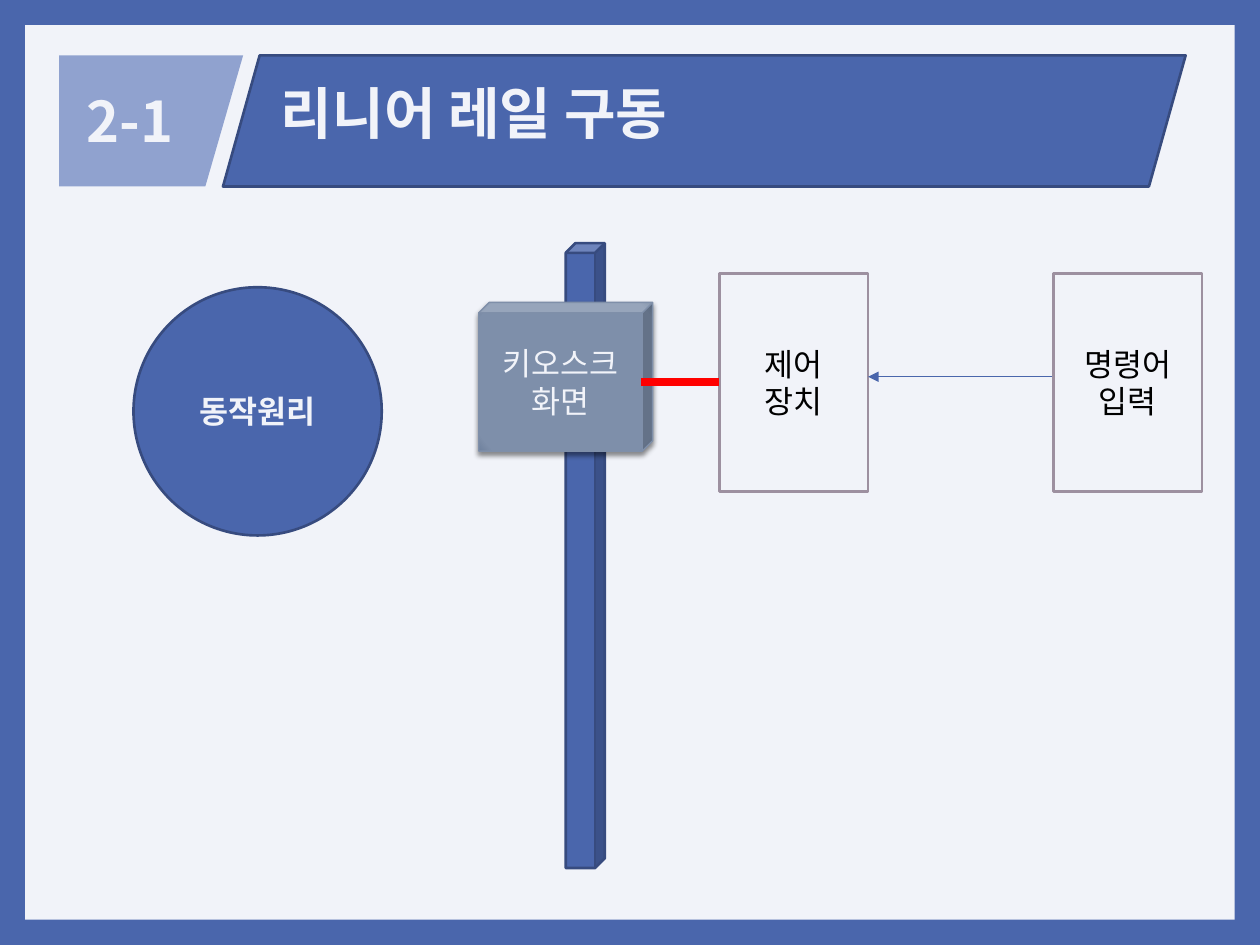
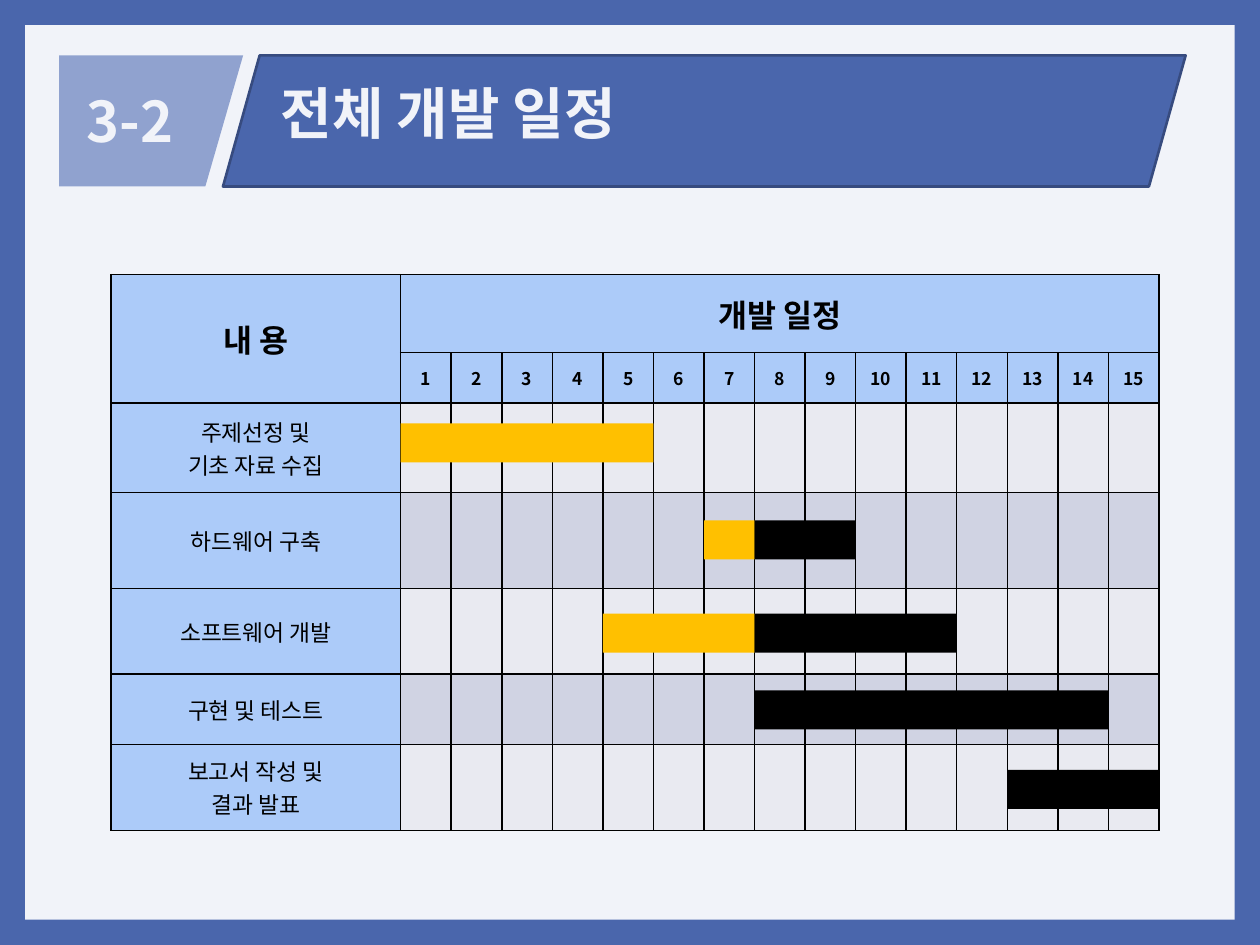
from dataclasses import dataclass
from typing import Optional

from lxml.etree import SubElement
from pptx import Presentation
from pptx.dml.color import RGBColor
from pptx.enum.shapes import MSO_CONNECTOR, MSO_SHAPE
from pptx.enum.text import MSO_ANCHOR, MSO_AUTO_SIZE, PP_ALIGN
from pptx.oxml import parse_xml
from pptx.oxml.ns import nsdecls, qn
from pptx.util import Inches, Pt

BLUE = RGBColor(0x4A, 0x66, 0xAC)
DARK_BLUE = RGBColor(0x37, 0x4B, 0x7F)
LIGHT_BLUE = RGBColor(0x90, 0xA2, 0xCF)
PAPER = RGBColor(0xF1, 0xF3, 0xF9)
MAUVE = RGBColor(0x9D, 0x90, 0xA0)
SLATE = RGBColor(0x7F, 0x8F, 0xA9)
RED = RGBColor(0xFF, 0x00, 0x00)
BLACK = RGBColor(0x00, 0x00, 0x00)
AMBER = RGBColor(0xFF, 0xC0, 0x00)
HEADER_BLUE = RGBColor(0xAC, 0xCB, 0xF9)
ROW_FILLS = (RGBColor(0xE9, 0xEA, 0xF1), RGBColor(0xD0, 0xD3, 0xE3))

HEADING_FONT = "Noto Sans CJK KR"
LABEL_FONT = "Cabin"


@dataclass(frozen=True)
class TextStyle:
    size: float
    color: RGBColor
    font: str = HEADING_FONT
    bold: bool = False
    align: PP_ALIGN = PP_ALIGN.CENTER


HEADING = TextStyle(32, PAPER, bold=True, align=PP_ALIGN.LEFT)
CIRCLE_LABEL = TextStyle(18, PAPER, bold=True)
KIOSK_LABEL = TextStyle(18, PAPER, LABEL_FONT)
BOX_LABEL = TextStyle(18, BLACK, LABEL_FONT)
TABLE_HEAD = TextStyle(18, BLACK, bold=True)
WEEK_HEAD = TextStyle(10, BLACK, bold=True)
TASK_LABEL = TextStyle(13, BLACK)


@dataclass(frozen=True)
class Block:
    kind: MSO_SHAPE
    left: float
    top: float
    width: float
    height: float
    fill: RGBColor
    line: Optional[RGBColor] = None
    line_width: float = 1.5
    adjust: Optional[float] = None
    text: str = ""
    style: Optional[TextStyle] = None


@dataclass(frozen=True)
class Bar:
    """A span of weeks, both ends included."""
    top: float
    first: int
    last: int
    color: RGBColor


PANEL = Block(MSO_SHAPE.RECTANGLE, 0.2, 0.2, 9.6, 7.1, PAPER)
BAND = Block(MSO_SHAPE.PARALLELOGRAM, 1.77, 0.44, 7.64, 1.04, BLUE, DARK_BLUE, adjust=0.28)
TAG_OUTLINE = ((0.47, 0.44), (1.93, 0.44), (1.63, 1.48), (0.47, 1.48))

PRINCIPLE = Block(MSO_SHAPE.OVAL, 1.06, 2.28, 1.97, 1.97, BLUE, DARK_BLUE,
                  text="동작원리", style=CIRCLE_LABEL)
CONTROLLER = Block(MSO_SHAPE.RECTANGLE, 5.71, 2.17, 1.18, 1.73, PAPER, MAUVE,
                   text="제어\n장치", style=BOX_LABEL)
RAIL = Block(MSO_SHAPE.CUBE, 4.49, 1.93, 0.31, 4.96, BLUE, DARK_BLUE)
KIOSK = Block(MSO_SHAPE.CUBE, 3.8, 2.4, 1.38, 1.18, SLATE, SLATE, 0.79, 0.07,
              "키오스크\n화면", KIOSK_LABEL)
COMMAND = Block(MSO_SHAPE.RECTANGLE, 8.36, 2.17, 1.18, 1.73, PAPER, MAUVE,
                text="명령어\n입력", style=BOX_LABEL)

TABLE_LEFT, TABLE_TOP = 0.88, 2.18
TASK_WIDTH, WEEKS_WIDTH, WEEKS = 2.3, 6.02, 15
WEEK_WIDTH = WEEKS_WIDTH / WEEKS
ROW_HEIGHTS = (0.62, 0.4, 0.71, 0.76, 0.68, 0.56, 0.68)
TASKS = ("주제선정 및\n기초 자료 수집", "하드웨어 구축", "소프트웨어 개발",
         "구현 및 테스트", "보고서 작성 및\n결과 발표")
BAR_HEIGHT = 0.31
BARS = (
    Bar(3.36, 1, 5, AMBER),
    Bar(4.13, 7, 7, AMBER),
    Bar(4.13, 8, 9, BLACK),
    Bar(4.87, 5, 7, AMBER),
    Bar(4.87, 8, 11, BLACK),
    Bar(5.48, 8, 14, BLACK),
    Bar(6.11, 13, 15, BLACK),
)


def write(frame, text: str, style: TextStyle) -> None:
    frame.text = text
    for paragraph in frame.paragraphs:
        paragraph.alignment = style.align
        for run in paragraph.runs:
            font = run.font
            font.size, font.bold, font.name = Pt(style.size), style.bold, style.font
            font.color.rgb = style.color
            # Korean glyphs follow the East Asian typeface
            SubElement(font._element, qn("a:ea"), typeface=style.font)


def add_block(slide, block: Block):
    shape = slide.shapes.add_shape(block.kind, Inches(block.left), Inches(block.top),
                                   Inches(block.width), Inches(block.height))
    shape.shadow.inherit = False
    shape.fill.solid()
    shape.fill.fore_color.rgb = block.fill
    if block.line is None:
        shape.line.fill.background()
    else:
        shape.line.color.rgb = block.line
        shape.line.width = Pt(block.line_width)
    if block.adjust is not None:
        shape.adjustments[0] = block.adjust
    if block.style:
        shape.text_frame.word_wrap = True
        shape.text_frame.vertical_anchor = MSO_ANCHOR.MIDDLE
        write(shape.text_frame, block.text, block.style)
    return shape


def add_line(slide, start: tuple, end: tuple, color: RGBColor, width: float):
    line = slide.shapes.add_connector(MSO_CONNECTOR.STRAIGHT, *map(Inches, start + end))
    line.line.color.rgb = color
    line.line.width = Pt(width)
    SubElement(line.element.spPr, qn("a:effectLst"))
    return line


def place_heading(shape, left: float, top: float, width: float, text: str) -> None:
    shape.left, shape.top = Inches(left), Inches(top)
    shape.width, shape.height = Inches(width), Inches(0.64)
    frame = shape.text_frame
    frame.word_wrap = True
    frame.vertical_anchor = MSO_ANCHOR.TOP
    frame.auto_size = MSO_AUTO_SIZE.SHAPE_TO_FIT_TEXT
    write(frame, text, HEADING)


def add_section_slide(prs, number: str, title: str):
    slide = prs.slides.add_slide(prs.slide_layouts[5])
    band = add_block(slide, BAND)
    band.element.addnext(slide.shapes.title.element)  # title sits on the band
    place_heading(slide.shapes.title, 2.13, 0.57, 6.97, title)

    corners = [(Inches(x), Inches(y)) for x, y in TAG_OUTLINE]
    builder = slide.shapes.build_freeform(*corners[0])
    builder.add_line_segments(corners[1:], close=True)
    tag = builder.convert_to_shape()
    tag.shadow.inherit = False
    tag.fill.solid()
    tag.fill.fore_color.rgb = LIGHT_BLUE
    tag.line.fill.background()
    place_heading(slide.shapes.add_textbox(0, 0, 0, 0), 0.59, 0.64, 1.42, number)
    return slide


def style_master(prs, slide) -> None:
    """Give every slide the blue border and the pale panel."""
    master = prs.slide_master
    master.background.fill.solid()
    master.background.fill.fore_color.rgb = BLUE
    master.shapes.element.insert(2, add_block(slide, PANEL).element)


def shade_kiosk(kiosk) -> None:
    """Radial gradient and a soft shadow below."""
    properties = kiosk.element.spPr
    stops = "".join(f'<a:gs pos="{pos}000"><a:srgbClr val="{color}"/></a:gs>'
                    for pos, color in ((0, "7F8FA9"), (90, "7E8FAA"), (100, "6F819D")))
    gradient = parse_xml(
        f'<a:gradFill {nsdecls("a")}><a:gsLst>{stops}</a:gsLst><a:path path="circle">'
        '<a:fillToRect l="100000" t="100000" r="100000" b="100000"/></a:path></a:gradFill>')
    properties.replace(properties.find(qn("a:solidFill")), gradient)
    shadow = SubElement(properties.find(qn("a:effectLst")), qn("a:outerShdw"),
                        blurRad=str(Pt(3)), dist=str(Pt(2)), dir="5400000", rotWithShape="0")
    color = SubElement(shadow, qn("a:srgbClr"), val=str(BLACK))
    SubElement(color, qn("a:alpha"), val="45000")


def draw_rail_diagram(slide) -> None:
    add_block(slide, PRINCIPLE)
    controller = add_block(slide, CONTROLLER)
    add_block(slide, RAIL)
    shade_kiosk(add_block(slide, KIOSK))
    cable_y = CONTROLLER.top + CONTROLLER.height / 2
    cable = add_line(slide, (5.09, cable_y), (CONTROLLER.left, cable_y), RED, 4.5)
    cable.end_connect(controller, 1)
    arrow = add_line(slide, (8.39, 2.99), (6.89, 2.99), BLUE, 0.79)
    SubElement(arrow.element.spPr.find(qn("a:ln")), qn("a:tailEnd"), type="triangle")
    add_block(slide, COMMAND)


def style_cell(cell, fill: RGBColor) -> None:
    properties = cell._tc.get_or_add_tcPr()
    for side in ("lnL", "lnR", "lnT", "lnB"):
        border = SubElement(properties, qn(f"a:{side}"), w=str(Pt(1)))
        SubElement(SubElement(border, qn("a:solidFill")), qn("a:srgbClr"), val=str(BLACK))
    cell.fill.solid()
    cell.fill.fore_color.rgb = fill
    cell.vertical_anchor = MSO_ANCHOR.MIDDLE


def draw_schedule(slide) -> None:
    table = slide.shapes.add_table(
        len(ROW_HEIGHTS), WEEKS + 1, Inches(TABLE_LEFT), Inches(TABLE_TOP),
        Inches(TASK_WIDTH + WEEKS_WIDTH), Inches(sum(ROW_HEIGHTS))).table
    table.first_row = table.horz_banding = False
    for index, column in enumerate(table.columns):
        column.width = Inches(WEEK_WIDTH if index else TASK_WIDTH)
    for index, height in enumerate(ROW_HEIGHTS):
        table.rows[index].height = Inches(height)
        for column in range(WEEKS + 1):
            is_header = index < 2 or column == 0
            style_cell(table.cell(index, column),
                       HEADER_BLUE if is_header else ROW_FILLS[index % 2])

    table.cell(0, 0).merge(table.cell(1, 0))
    table.cell(0, 1).merge(table.cell(0, WEEKS))
    write(table.cell(0, 0).text_frame, "내 용", TABLE_HEAD)
    write(table.cell(0, 1).text_frame, "개발 일정", TABLE_HEAD)
    for week in range(1, WEEKS + 1):
        cell = table.cell(1, week)
        cell.margin_left = cell.margin_right = Inches(0.05)
        write(cell.text_frame, str(week), WEEK_HEAD)
    for row, task in enumerate(TASKS, start=2):
        write(table.cell(row, 0).text_frame, task, TASK_LABEL)

    for bar in BARS:
        left = TABLE_LEFT + TASK_WIDTH + (bar.first - 1) * WEEK_WIDTH
        width = (bar.last - bar.first + 1) * WEEK_WIDTH
        add_block(slide, Block(MSO_SHAPE.RECTANGLE, left, bar.top, width, BAR_HEIGHT, bar.color))


def main() -> None:
    prs = Presentation()
    prs.slide_width, prs.slide_height = Inches(10), Inches(7.5)
    rail_slide = add_section_slide(prs, "2-1", "리니어 레일 구동")
    style_master(prs, rail_slide)
    draw_rail_diagram(rail_slide)
    draw_schedule(add_section_slide(prs, "3-2", "전체 개발 일정"))
    prs.save("out.pptx")


if __name__ == "__main__":
    main()
